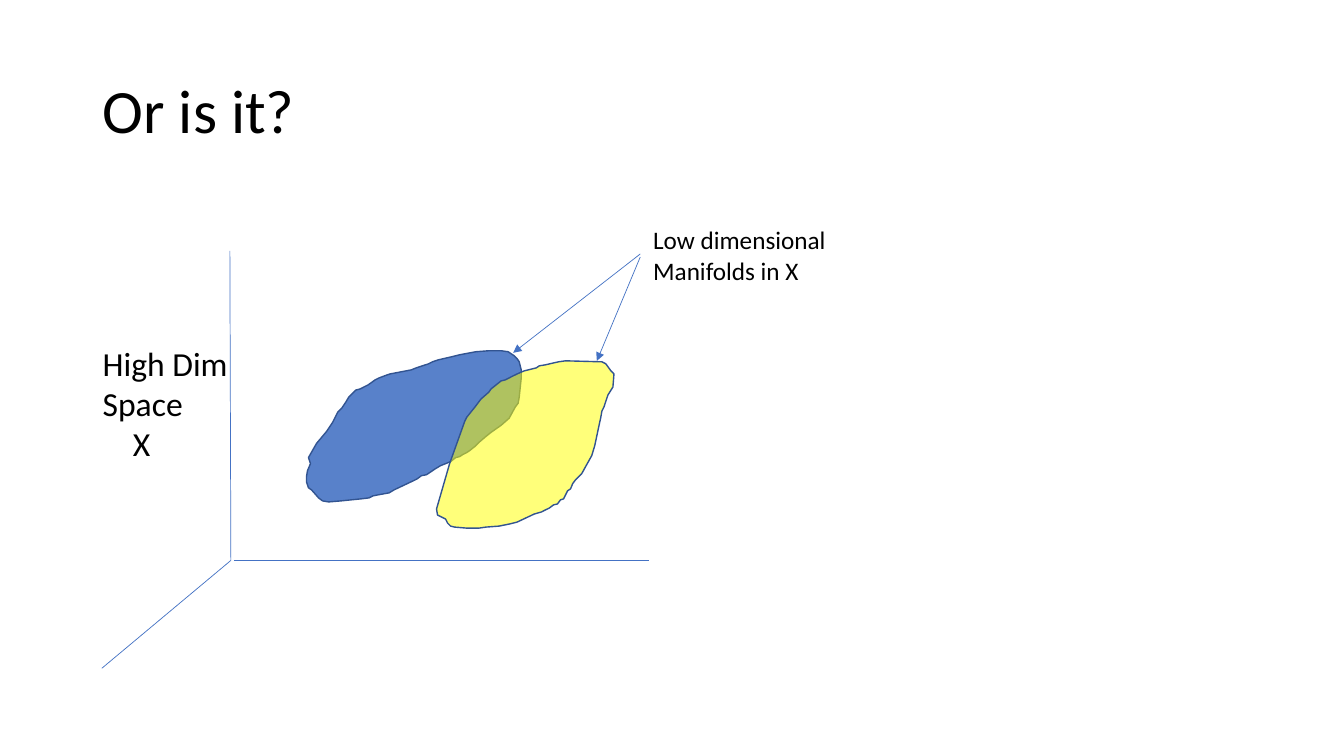
from lxml.etree import SubElement
from pptx import Presentation
from pptx.dml.color import RGBColor
from pptx.enum.shapes import MSO_CONNECTOR as Connector
from pptx.enum.text import MSO_ANCHOR as Anchor, PP_ALIGN as Align
from pptx.oxml.ns import qn
from pptx.util import Inches, Pt

CELL = Inches(0.01)  # the page is a grid of 1333 columns and 750 rows
COLUMNS, ROWS = 1333, 750
AXIS_BLUE, OUTLINE_BLUE, YELLOW, BLACK = "4472C4", "325491", "FFFF00", "000000"


def color(hex_string):
    return RGBColor.from_string(hex_string)


def write(box, lines, size):
    """Fill a text box or placeholder with one left-aligned paragraph per line."""
    frame = box.text_frame
    frame.word_wrap = True
    frame.text = "\n".join(lines)
    for para in frame.paragraphs:
        para.alignment = Align.LEFT
        para.font.size = Pt(size)
        para.font.name = "Calibri"
        para.font.color.rgb = color(BLACK)
    return frame


deck = Presentation()
deck.slide_width, deck.slide_height = COLUMNS * CELL, ROWS * CELL
page = deck.slides.add_slide(deck.slide_layouts.get_by_name("Title Only"))

title = page.shapes.title
title.left, title.top, title.width, title.height = (
    cells * CELL for cells in (92, 40, 1150, 145))
title_frame = write(title, ["Or is it?"], 44)
title_frame.vertical_anchor = Anchor.MIDDLE
title_frame.paragraphs[0].line_spacing = 0.9

# Outlines of the two overlapping manifolds, as (column, row) points
blue_outline = [
    (306, 454), (314, 440), (324, 428), (330, 419), (335, 409), (339, 405),
    (343, 399), (346, 394), (349, 391), (353, 387), (357, 386), (361, 384),
    (365, 382), (372, 377), (376, 375), (384, 372), (387, 371), (408, 367),
    (413, 365), (425, 361), (429, 359), (435, 357), (448, 354), (456, 352),
    (472, 349), (485, 348), (497, 348), (504, 349), (510, 353), (513, 356),
    (515, 359), (517, 367), (517, 375), (515, 394), (514, 400), (511, 404),
    (505, 415), (497, 422), (487, 429), (482, 433), (475, 439), (471, 443),
    (466, 447), (463, 449), (459, 451), (456, 453), (452, 454), (447, 458),
    (437, 462), (432, 465), (423, 471), (418, 472), (414, 475), (410, 477),
    (391, 486), (386, 489), (375, 491), (370, 492), (366, 494), (358, 495),
    (338, 497), (326, 498), (320, 497), (316, 494), (309, 486), (306, 484),
    (304, 478), (304, 473), (305, 467), (308, 460), (307, 457),
]
yellow_outline = [
    (434, 511), (433, 505), (446, 460), (461, 418), (463, 414), (471, 404),
    (477, 396), (485, 389), (487, 386), (497, 378), (501, 377), (509, 373),
    (513, 371), (520, 368), (532, 365), (535, 363), (541, 362), (554, 359),
    (561, 358), (597, 359), (601, 361), (606, 368), (609, 371), (608, 384),
    (603, 392), (599, 404), (597, 408), (596, 414), (594, 423), (590, 442),
    (587, 452), (582, 461), (577, 470), (571, 476), (568, 480), (566, 485),
    (563, 487), (559, 495), (556, 496), (553, 500), (549, 501), (545, 504),
    (541, 506), (537, 508), (530, 510), (513, 518), (509, 519), (505, 520),
    (495, 522), (482, 523), (475, 524), (463, 524), (451, 523), (447, 522),
    (444, 519), (442, 515), (438, 513),
]
for outline, fill, opacity in ((blue_outline, AXIS_BLUE, 89),
                               (yellow_outline, YELLOW, 52)):
    builder = page.shapes.build_freeform(*outline[0], scale=CELL)
    builder.add_line_segments(outline[1:], close=True)
    manifold = builder.convert_to_shape()
    manifold.shadow.inherit = False
    manifold.fill.solid()
    manifold.fill.fore_color.rgb = color(fill)
    fill_xml = manifold._element.spPr.find(qn("a:solidFill"))
    SubElement(fill_xml[0], qn("a:alpha"), val=str(opacity * 1000))
    manifold.line.color.rgb = color(OUTLINE_BLUE)
    manifold.line.width = Pt(1)

# Three axes, then two arrows from the label to the manifolds
for ends, has_arrow in (((228, 249, 229, 556), False),
                        ((232, 556, 644, 556), False),
                        ((229, 556, 101, 663), False),
                        ((635, 252, 509, 350), True),
                        ((635, 255, 592, 358), True)):
    line = page.shapes.add_connector(
        Connector.STRAIGHT, *(cells * CELL for cells in ends))
    line.line.color.rgb = color(AXIS_BLUE)
    line.line.width = Pt(0.5)
    if has_arrow:
        SubElement(line.line._get_or_add_ln(), qn("a:tailEnd"), type="triangle")
    SubElement(line._element.spPr, qn("a:effectLst"))

for place, lines, size in (
        ((92, 335, 145, 131), ["High Dim Space", "X"], 24),
        ((638, 218, 238, 71), ["Low dimensional Manifolds in X"], 18)):
    label = page.shapes.add_textbox(*(cells * CELL for cells in place))
    frame = write(label, lines, size)
    for para in frame.paragraphs[1:]:
        para._p.get_or_add_pPr().set("marL", str(30 * CELL))

deck.save("out.pptx")
